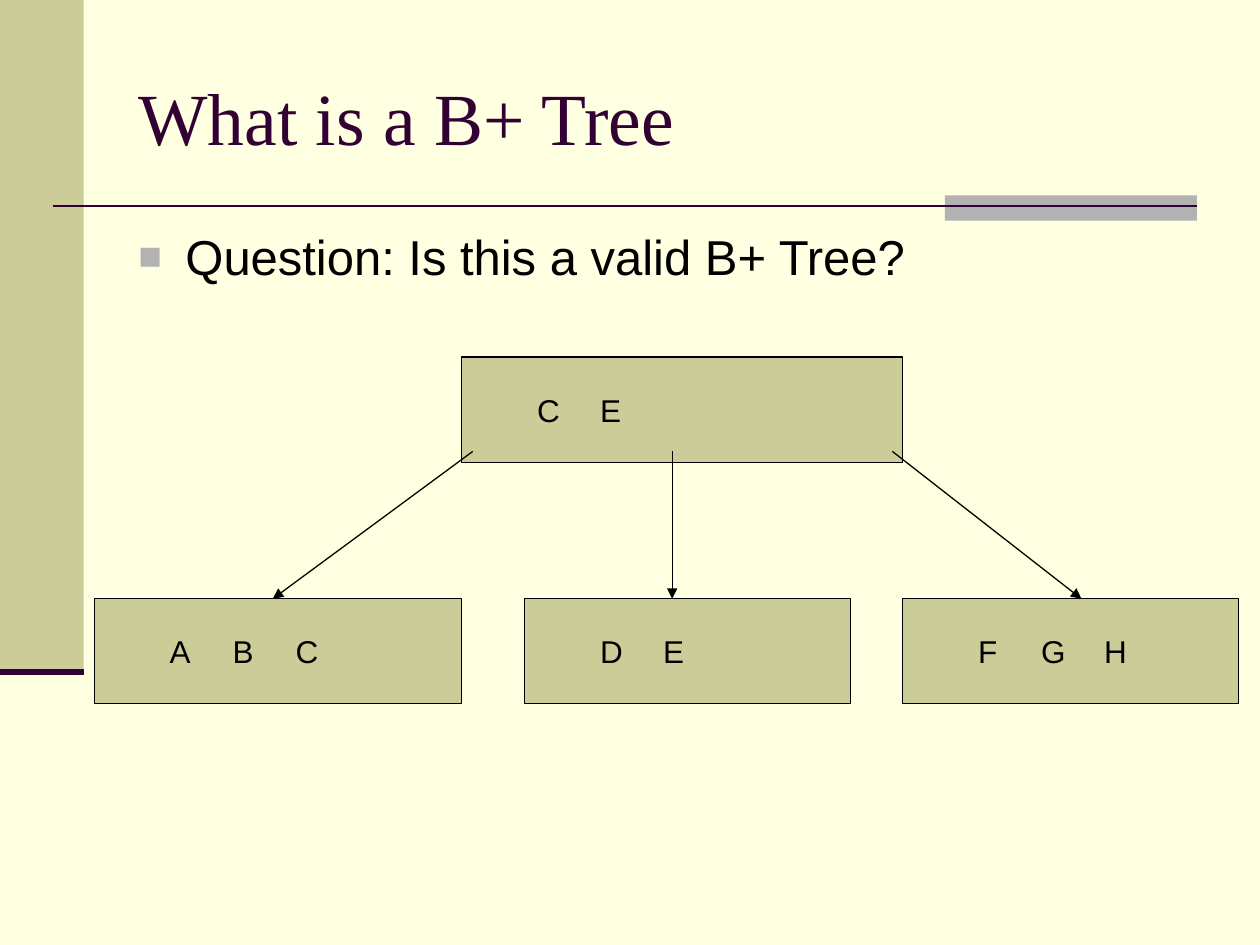
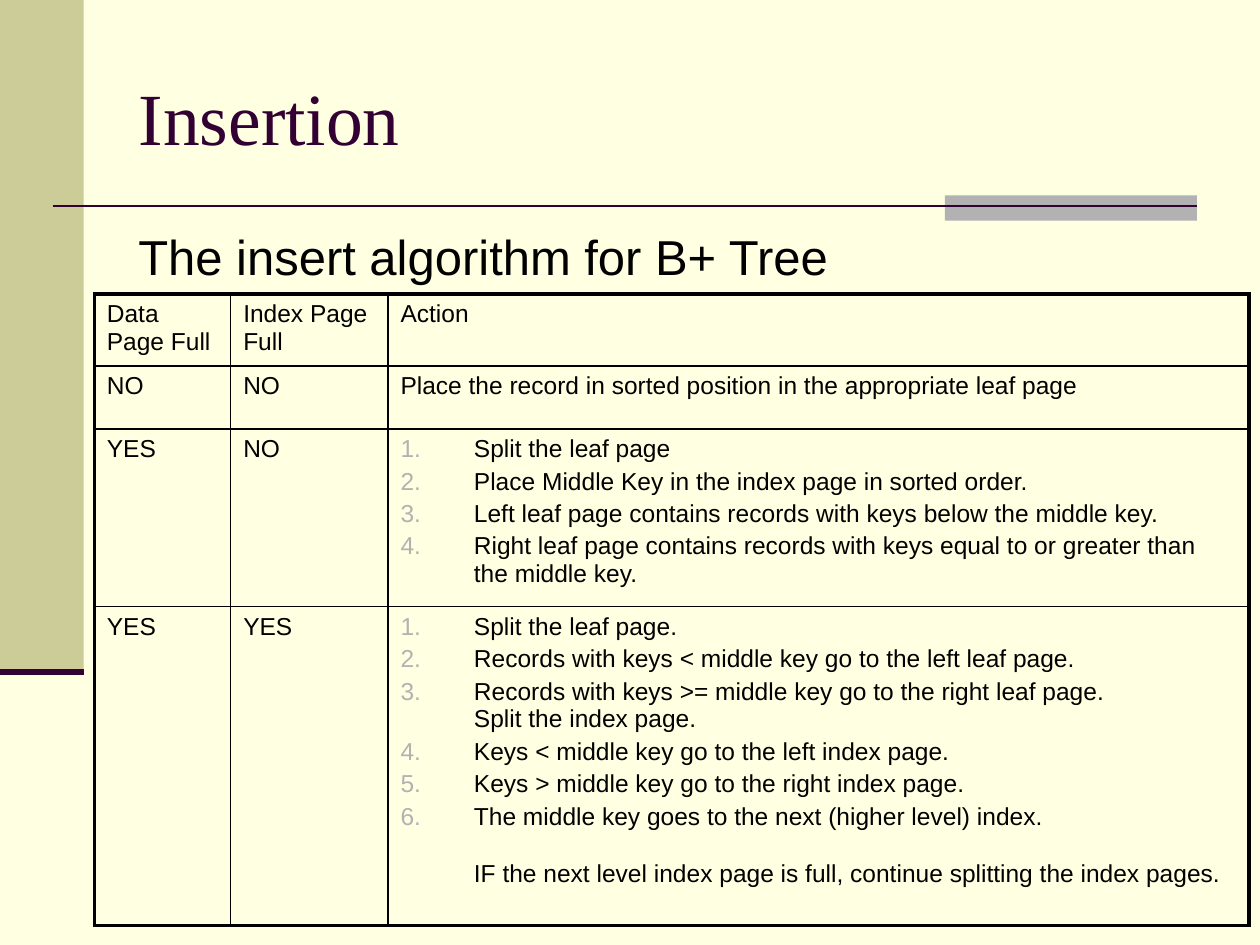
import dataclasses

import lxml.etree
import pptx
import pptx.dml.color
import pptx.enum.shapes
import pptx.enum.text
import pptx.oxml.ns
import pptx.util

Cm, Pt = pptx.util.Cm, pptx.util.Pt
RGB = pptx.dml.color.RGBColor.from_string
qn = pptx.oxml.ns.qn
MIDDLE = pptx.enum.text.MSO_ANCHOR.MIDDLE
RECTANGLE = pptx.enum.shapes.MSO_SHAPE.RECTANGLE
STRAIGHT = pptx.enum.shapes.MSO_CONNECTOR.STRAIGHT
SubElement = lxml.etree.SubElement


@dataclasses.dataclass(frozen=True)
class Theme:
    paper: str = "FFFFE1"
    khaki: str = "CCCC99"
    grey: str = "B2B2B2"
    plum: str = "330033"
    ink: str = "000000"
    title_font: str = "Times New Roman"
    body_font: str = "Arial"
    title_size: int = 42
    body_size: int = 28
    key_size: int = 18
    table_size: int = 14


theme = Theme()


def write(frame, text, size, font=theme.body_font, color=theme.ink, bullet=None,
          hanging=0, before=0, tabs=()):
    """Fill the frame's empty paragraph, or add one; bullet is a sign or "number"."""
    para = frame.paragraphs[0] if not frame.text else frame.add_paragraph()
    para.text = text
    para.alignment = pptx.enum.text.PP_ALIGN.LEFT
    para.space_before = Pt(before)
    for span in para.runs:
        span.font.size, span.font.name = Pt(size), font
        span.font.color.rgb = RGB(color)
    for line_break in para._p.findall(qn("a:br")):
        SubElement(line_break, qn("a:rPr"), sz=str(size * 100))
    properties = para._p.get_or_add_pPr()
    properties.set("marL", str(Cm(hanging)))
    properties.set("indent", str(-Cm(hanging)))
    if bullet:
        bullet_color = SubElement(properties, qn("a:buClr"))
        SubElement(bullet_color, qn("a:srgbClr"), val=theme.grey)
        if bullet == "number":
            SubElement(properties, qn("a:buAutoNum"), type="arabicPeriod")
        else:
            SubElement(properties, qn("a:buSzPct"), val="80000")
            SubElement(properties, qn("a:buFont"), typeface=theme.body_font)
            SubElement(properties, qn("a:buChar"), char=bullet)
    else:
        SubElement(properties, qn("a:buNone"))
    if tabs:
        stops = SubElement(properties, qn("a:tabLst"))
        for stop in tabs:
            SubElement(stops, qn("a:tab"), pos=str(Cm(stop)), algn="ctr")


def add_line(page, start, end, color, width, arrow=False):
    line = page.shapes.add_connector(STRAIGHT, *map(Cm, start + end))
    line.line.color.rgb = RGB(color)
    line.line.width = Pt(width)
    if arrow:
        SubElement(line.line._get_or_add_ln(), qn("a:tailEnd"), type="triangle")
    SubElement(line._element.spPr, qn("a:effectLst"))


deck = pptx.Presentation()
deck.slide_width, deck.slide_height = Cm(25.4), Cm(19.05)
background = deck.slide_master.background.fill
background.solid()
background.fore_color.rgb = RGB(theme.paper)

# Frame, title and lead sentence of both slides
pages = []
for heading, lead, bullet in [
    ("What is a B+ Tree", "Question: Is this a valid B+ Tree?", "■"),
    ("Insertion", "The insert algorithm for B+ Tree", None),
]:
    page = deck.slides.add_slide(deck.slide_layouts[5])
    pages.append(page)
    for color, *place in [(theme.khaki, 0, 0, 1.69, 13.55),
                          (theme.grey, 19.05, 3.94, 5.08, 0.51)]:
        band = page.shapes.add_shape(RECTANGLE, *map(Cm, place))
        band.shadow.inherit = False
        band.fill.solid()
        band.fill.fore_color.rgb = RGB(color)
        band.line.fill.background()
    add_line(page, (1.06, 4.15), (24.13, 4.15), theme.plum, 1.5)
    add_line(page, (0, 13.55), (1.69, 13.55), theme.plum, 3.5)

    title = page.shapes.title
    title.left, title.top, title.width, title.height = map(Cm, (2.54, 0.76, 21.59, 3.18))
    title.text_frame.auto_size = pptx.enum.text.MSO_AUTO_SIZE.NONE
    title.text_frame.vertical_anchor = MIDDLE
    write(title.text_frame, heading, theme.title_size, font=theme.title_font,
          color=theme.plum)

    body = page.shapes.add_textbox(*map(Cm, (2.54, 4.45, 21.59, 12.57)))
    body.text_frame.word_wrap = True
    write(body.text_frame, lead, theme.body_size, bullet=bullet,
          hanging=0.95 if bullet else 0)

tree_page, insertion_page = pages

# Tree: left, top, width of each node, its keys and their centres
for left, top, width, keys, centres in [
    (9.31, 7.2, 8.89, "CE", (2.38, 5.99)),
    (1.9, 12.07, 7.41, "ABC", (1.43, 3.4, 5.44)),
    (10.58, 12.07, 6.56, "DE", (1.93, 4.11)),
    (18.2, 12.07, 6.77, "FGH", (1.33, 3.16, 4.88)),
]:
    node = tree_page.shapes.add_shape(RECTANGLE, *map(Cm, (left, top, width, 2.12)))
    node.shadow.inherit = False
    node.fill.solid()
    node.fill.fore_color.rgb = RGB(theme.khaki)
    node.line.color.rgb = RGB(theme.ink)
    node.line.width = Pt(0.75)
    node.text_frame.vertical_anchor = MIDDLE
    write(node.text_frame, "".join("\t" + key for key in keys), theme.key_size,
          tabs=centres)

for start_x, end_x in [(13.55, 13.55), (17.99, 21.8), (9.53, 5.5)]:
    add_line(tree_page, (start_x, 9.1), (end_x, 12.07), theme.ink, 0.75, arrow=True)

# Insertion rules: a list in the last column holds numbered steps
rules = [
    ("Data Page Full", "Index Page Full", "Action"),
    ("NO", "NO", "Place the record in sorted position in the appropriate leaf page"),
    ("YES", "NO", [
        "Split the leaf page",
        "Place Middle Key in the index page in sorted order.",
        "Left leaf page contains records with keys below the middle key.",
        "Right leaf page contains records with keys equal to or greater than "
        "the middle key.",
    ]),
    ("YES", "YES", [
        "Split the leaf page.",
        "Records with keys < middle key go to the left leaf page.",
        "Records with keys >= middle key go to the right leaf page.\n"
        "Split the index page.",
        "Keys < middle key go to the left index page.",
        "Keys > middle key go to the right index page.",
        "The middle key goes to the next (higher level) index.\n\n"
        "IF the next level index page is full, continue splitting the index pages.",
    ]),
]
column_widths = (2.75, 3.17, 17.36)
row_heights = (1.45, 1.27, 3.58, 6.43)
table = insertion_page.shapes.add_table(
    len(rules), len(column_widths), Cm(1.9), Cm(5.93),
    Cm(sum(column_widths)), Cm(sum(row_heights))).table
table.first_row = table.horz_banding = False
for column, width in zip(table.columns, column_widths):
    column.width = Cm(width)
for row, height in zip(table.rows, row_heights):
    row.height = Cm(height)

last_row, last_column = len(rules) - 1, len(column_widths) - 1
for row_index, rule in enumerate(rules):
    for column_index, content in enumerate(rule):
        cell = table.cell(row_index, column_index)
        cell.fill.background()
        if isinstance(content, list):
            for step_index, step in enumerate(content):
                write(cell.text_frame, step, theme.table_size, bullet="number",
                      hanging=1.48, before=2.8 if step_index else 0)
        else:
            write(cell.text_frame, content, theme.table_size)
        outer_sides = {"L": column_index == 0, "R": column_index == last_column,
                       "T": row_index == 0, "B": row_index == last_row}
        cell_properties = cell._tc.get_or_add_tcPr()
        for position, (side, outer) in enumerate(outer_sides.items()):
            border = lxml.etree.Element(qn("a:ln" + side),
                                        w=str(Pt(2.25 if outer else 1)))
            border_fill = SubElement(border, qn("a:solidFill"))
            SubElement(border_fill, qn("a:srgbClr"), val=theme.ink)
            cell_properties.insert(position, border)

deck.save("out.pptx")
